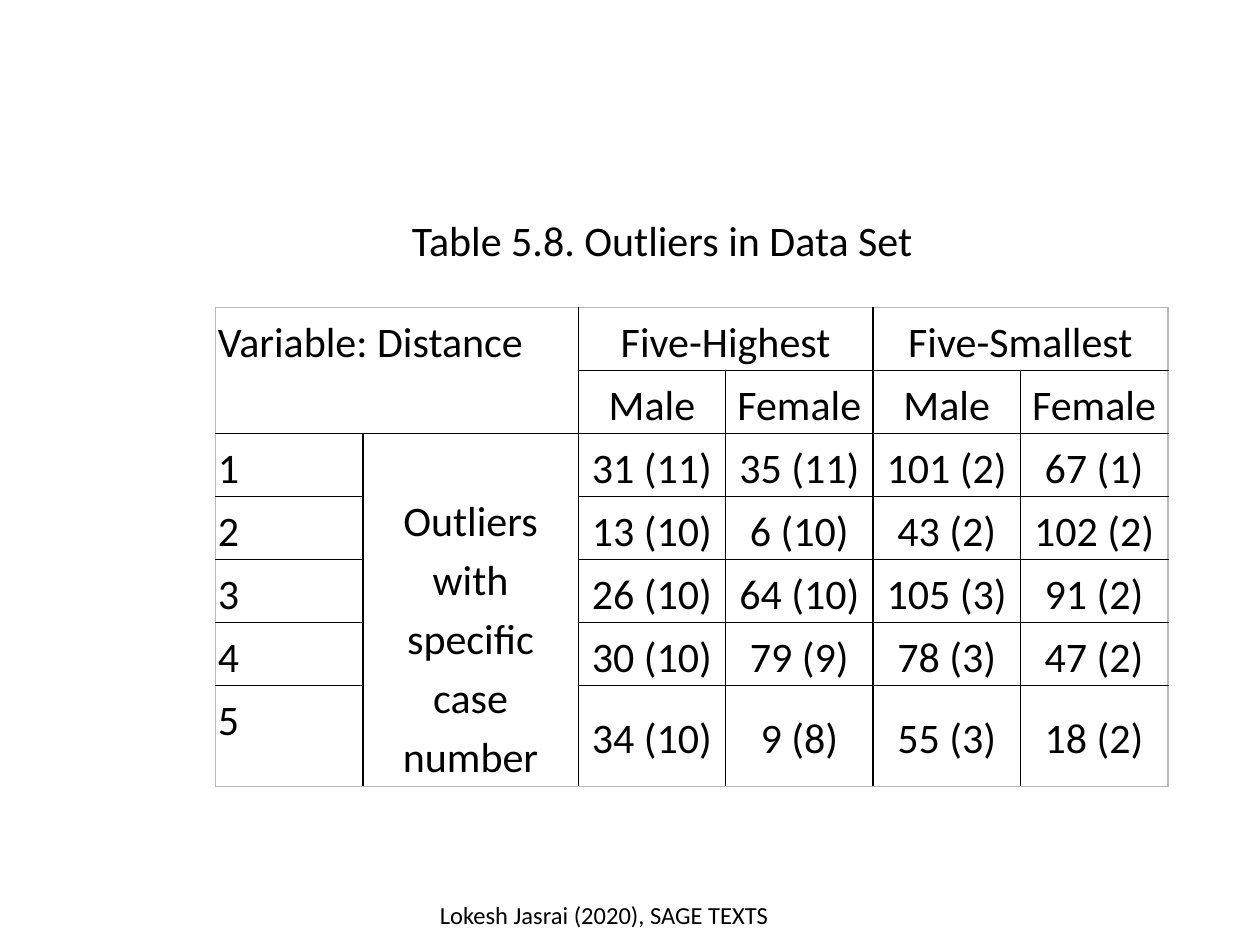
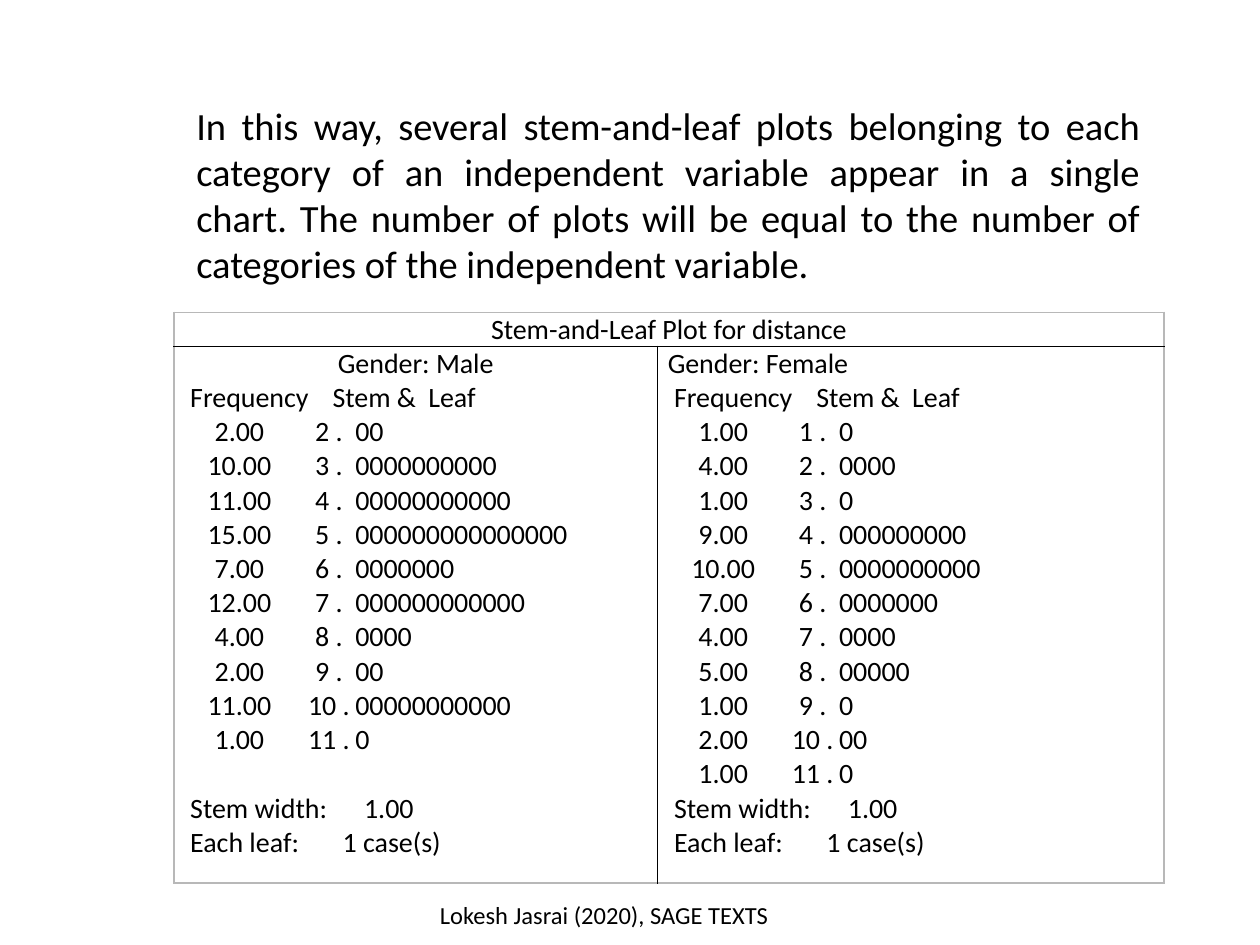
"""Build two slides: a table of outliers and paired stem-and-leaf plots."""
from lxml.etree import SubElement
from pptx import Presentation
from pptx.dml.color import RGBColor
from pptx.enum.text import MSO_ANCHOR, PP_ALIGN
from pptx.oxml.ns import qn
from pptx.util import Inches, Pt

FONT = "Calibri"
BLACK, GREY = "000000", "B8B8B8"
LEFT, CENTER, JUSTIFY = PP_ALIGN.LEFT, PP_ALIGN.CENTER, PP_ALIGN.JUSTIFY
TOP, MIDDLE, BOTTOM = MSO_ANCHOR.TOP, MSO_ANCHOR.MIDDLE, MSO_ANCHOR.BOTTOM

FOOTER = "Lokesh Jasrai (2020), SAGE TEXTS"
CAPTION = "Table 5.8. Outliers in Data Set"
CORNER = "Variable: Distance"
GROUPS = ["Five-Highest", "Five-Smallest"]
GENDERS = ["Male", "Female"]
CASE_LABEL = "Outliers with specific case number"
OUTLIERS = [
    ("31 (11)", "35 (11)", "101 (2)", "67 (1)"),
    ("13 (10)", "6 (10)", "43 (2)", "102 (2)"),
    ("26 (10)", "64 (10)", "105 (3)", "91 (2)"),
    ("30 (10)", "79 (9)", "78 (3)", "47 (2)"),
    ("34 (10)", "9 (8)", "55 (3)", "18 (2)"),
]

INTRO = (
    "In this way, several stem-and-leaf plots belonging to each category of an "
    "independent variable appear in a single chart. The number of plots will be "
    "equal to the number of categories of the independent variable."
)
PLOT_TITLE = "Stem-and-Leaf Plot for distance"
PLOTS = [
    {"title": "Gender: Male", "align": CENTER, "first_stem": 2, "gap": 19.5,
     "counts": [2, 10, 11, 15, 7, 12, 4, 2, 11, 1]},
    {"title": "Gender: Female", "align": LEFT, "first_stem": 1, "gap": 0,
     "counts": [1, 4, 1, 9, 10, 7, 4, 5, 1, 2, 1]},
]
HEADING_TABS = [("l", 0.05), ("l", 1.18), ("l", 1.94)]
LEAF_TABS = [("ctr", 0.44), ("ctr", 1.15), ("l", 1.36)]
WIDTH_TABS = [("l", 0.05), ("l", 1.43)]
CASE_TABS = [("l", 0.05), ("l", 1.26)]


def color(value):
    return RGBColor.from_string(value)


def add_text(frame, text, size, align=LEFT, tabs=(), spacing=None, before=0):
    para = frame.paragraphs[0]
    if para.runs:
        para = frame.add_paragraph()
    if tabs:
        stops = SubElement(para._p.get_or_add_pPr(), qn("a:tabLst"))
        for kind, position in tabs:
            SubElement(stops, qn("a:tab"), pos=str(Inches(position)), algn=kind)
    para.alignment = align
    if spacing:
        para.line_spacing = spacing
    if before:
        para.space_before = Pt(before)
    span = para.add_run()
    span.text = text
    span.font.name, span.font.size = FONT, Pt(size)
    span.font.color.rgb = color(BLACK)
    return para


def add_box(page, place, text, size, align=LEFT, anchor=TOP, wrap=True):
    box = page.shapes.add_textbox(*map(Inches, place))
    box.text_frame.word_wrap = wrap
    box.text_frame.vertical_anchor = anchor
    return add_text(box.text_frame, text, size, align)


def add_grid(page, left, top, widths, heights, insets, merges):
    table = page.shapes.add_table(
        len(heights), len(widths), Inches(left), Inches(top),
        Inches(sum(widths)), Inches(sum(heights))).table
    table.first_row = table.horz_banding = False
    for column, width in zip(table.columns, widths):
        column.width = Inches(width)
    for row, height in zip(table.rows, heights):
        row.height = Inches(height)
    for first, last in merges:
        table.cell(*first).merge(table.cell(*last))
    for row in range(len(heights)):
        for column in range(len(widths)):
            cell = table.cell(row, column)
            if not cell.is_spanned:
                style_cell(cell, row, column, len(heights), len(widths), insets)
    return table


def style_cell(cell, row, column, row_count, column_count, insets):
    cell.margin_left = cell.margin_right = Inches(insets[0])
    cell.margin_top = cell.margin_bottom = Inches(insets[1])
    tall, wide = (cell.span_height, cell.span_width) if cell.is_merge_origin else (1, 1)
    outer_edges = {
        "a:lnL": column == 0, "a:lnR": column + wide == column_count,
        "a:lnT": row == 0, "a:lnB": row + tall == row_count,
    }
    for tag, outer in outer_edges.items():
        line = SubElement(cell._tc.get_or_add_tcPr(), qn(tag), w=str(Pt(1)))
        fill = SubElement(line, qn("a:solidFill"))
        SubElement(fill, qn("a:srgbClr"), val=GREY if outer else BLACK)
    cell.fill.background()


def fill_cell(cell, text, align=CENTER, anchor=MIDDLE):
    cell.vertical_anchor = anchor
    add_text(cell.text_frame, text, 24, align, spacing=1.15)


def add_page(deck):
    page = deck.slides.add_slide(deck.slide_layouts[6])
    add_box(page, (3.01, 7.09, 3.57, 0.4), FOOTER, 14, CENTER)
    return page


def build_outliers(page):
    add_box(page, (3.17, 1.65, 4.21, 0.5), CAPTION, 24, anchor=MIDDLE, wrap=False)
    merges = [((0, 0), (1, 1)), ((0, 2), (0, 3)), ((0, 4), (0, 5)), ((2, 1), (6, 1))]
    table = add_grid(page, 1.71, 2.44, [1.17, 1.71] + [1.17] * 4,
                     [0.5] * 6 + [0.8], (0.02, 0.02), merges)
    fill_cell(table.cell(0, 0), CORNER, LEFT, TOP)
    fill_cell(table.cell(2, 1), CASE_LABEL, anchor=BOTTOM)
    for index, group in enumerate(GROUPS):
        fill_cell(table.cell(0, 2 + 2 * index), group, anchor=BOTTOM)
    for column, gender in enumerate(GENDERS * len(GROUPS), 2):
        fill_cell(table.cell(1, column), gender, anchor=BOTTOM)
    for rank, values in enumerate(OUTLIERS, 1):
        fill_cell(table.cell(rank + 1, 0), str(rank), LEFT, TOP)
        for column, value in enumerate(values, 2):
            fill_cell(table.cell(rank + 1, column), value)


def build_plots(page):
    intro = add_box(page, (1.38, 0.76, 7.77, 1.58), INTRO, 22, JUSTIFY)
    intro._p.get_or_add_pPr().set("marL", str(Inches(0.08)))
    table = add_grid(page, 1.38, 2.48, [3.84, 4.02], [0.27, 4.26], (0.08, 0),
                     [((0, 0), (0, 1))])
    add_text(table.cell(0, 0).text_frame, PLOT_TITLE, 16, CENTER)
    for column, plot in enumerate(PLOTS):
        frame = table.cell(1, column).text_frame
        add_text(frame, plot["title"], 16, plot["align"])
        add_text(frame, "\tFrequency\tStem &\tLeaf", 16, tabs=HEADING_TABS)
        for stem, count in enumerate(plot["counts"], plot["first_stem"]):
            add_text(frame, f"\t{count:.2f}\t{stem} .\t{'0' * count}", 16, tabs=LEAF_TABS)
        add_text(frame, "\tStem width:\t1.00", 16, tabs=WIDTH_TABS, before=plot["gap"])
        add_text(frame, "\tEach leaf:\t1 case(s)", 16, tabs=CASE_TABS)


def main():
    deck = Presentation()
    deck.slide_width, deck.slide_height = Inches(10), Inches(7.5)
    for build in (build_outliers, build_plots):
        build(add_page(deck))
    deck.save("out.pptx")


if __name__ == "__main__":
    main()
